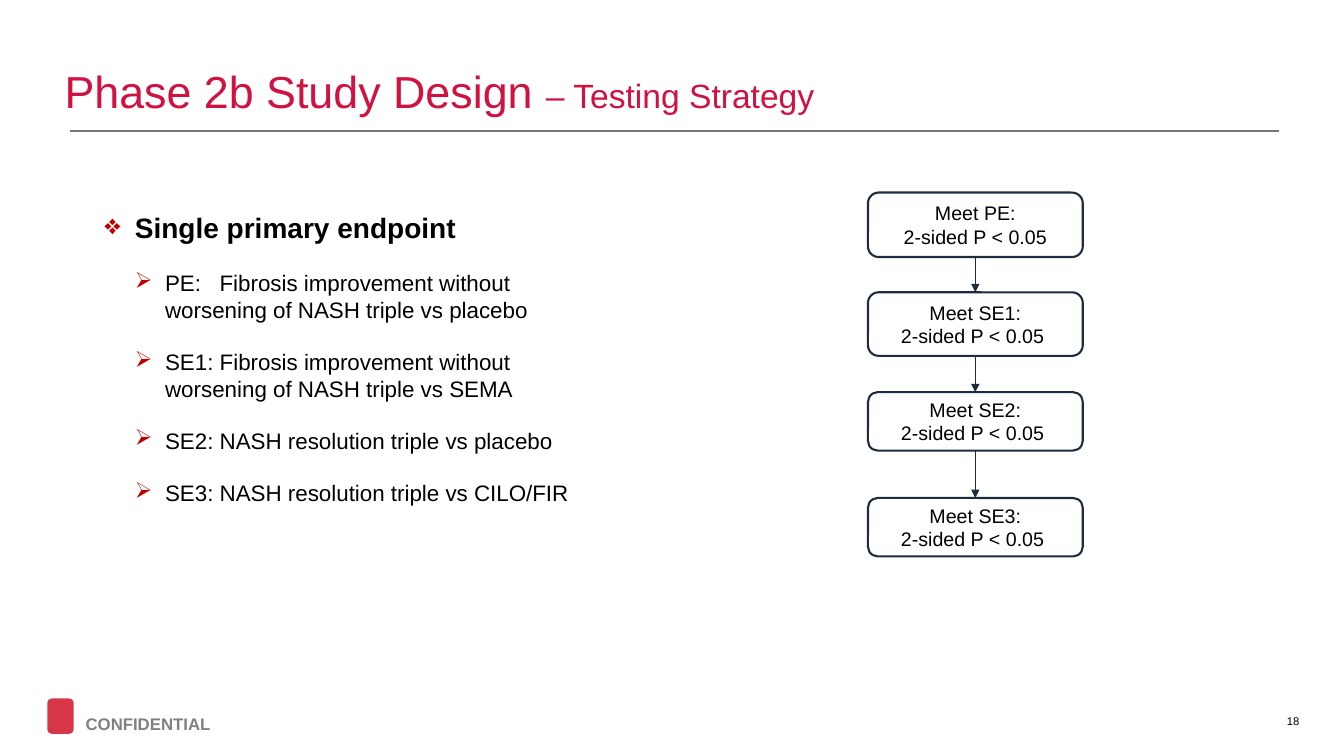
import pptx
import pptx.dml.color
import pptx.enum.shapes
import pptx.enum.text
import pptx.oxml
import pptx.oxml.ns
import pptx.util

RED, BULLET_RED, LOGO_RED = "D11241", "C00000", "D73648"
NAVY, BLACK, GRAY, RULE_GRAY = "1E2C40", "000000", "808080", "767676"
FONT = "Arial"

TITLE = [("Phase 2b Study Design ", 32), ("– Testing Strategy", 24)]
HEADING = "Single primary endpoint"
ENDPOINTS = [
    "PE:\tFibrosis improvement without worsening of NASH triple vs placebo",
    "SE1: Fibrosis improvement without worsening of NASH triple vs SEMA",
    "SE2: NASH resolution triple vs placebo",
    "SE3: NASH resolution triple vs CILO/FIR",
]
# Test text, top and height of each step
STEPS = [
    ("Meet PE:\n2-sided P < 0.05", 25.47, 8.53),
    ("Meet SE1:\n2-sided P < 0.05 ", 38.67, 8.4),
    ("Meet SE2:\n2-sided P < 0.05 ", 51.87, 7.73),
    ("Meet SE3:\n2-sided P < 0.05 ", 65.87, 7.73),
]

# Left, top, width and height as percentages of the slide's size
TITLE_AREA = (4.05, 4.8, 92.18, 11.47)
ENDPOINT_AREA = (7.05, 27.2, 39.3, 40.8)
LOGO_AREA = (3.53, 92.4, 1.95, 4.67)
CONFIDENTIAL_AREA = (5.63, 93.73, 12.23, 4)
NUMBER_AREA = (93.38, 92.67, 3.9, 5.33)
RULE_LEFT, RULE_RIGHT, RULE_TOP = 5.18, 95.18, 17.33
STEP_LEFT, STEP_WIDTH = 64.58, 15.98
INDENT, TAB_STOP = 0.3, 1.14  # inches

ALIGN = pptx.enum.text.PP_ALIGN
MIDDLE = pptx.enum.text.MSO_ANCHOR.MIDDLE
SHAPE = pptx.enum.shapes.MSO_SHAPE

deck = pptx.Presentation()
deck.slide_width = pptx.util.Inches(13.33)
deck.slide_height = pptx.util.Inches(7.5)
page = deck.slides.add_slide(deck.slide_layouts[5])


def across(share):
    return round(deck.slide_width * share / 100)


def down(share):
    return round(deck.slide_height * share / 100)


def place(area):
    left, top, width, height = area
    return across(left), down(top), across(width), down(height)


def color(value):
    return pptx.dml.color.RGBColor.from_string(value)


def style(font, size, value, bold=False):
    font.name, font.size, font.bold = FONT, pptx.util.Pt(size), bold
    font.color.rgb = color(value)


def add_text(area, text, size, value, bold=False, align=ALIGN.LEFT):
    box = page.shapes.add_textbox(*place(area))
    box.text_frame.word_wrap = True
    box.text_frame.text = text
    para = box.text_frame.paragraphs[0]
    para.alignment = align
    style(para.runs[0].font, size, value, bold)
    return box


def add_shape(kind, area):
    shape = page.shapes.add_shape(kind, *place(area))
    shape.shadow.inherit = False
    return shape


def add_line(start, end, value, width):
    line = page.shapes.add_connector(
        pptx.enum.shapes.MSO_CONNECTOR.STRAIGHT, *start, *end)
    line.line.color.rgb = color(value)
    line.line.width = pptx.util.Pt(width)
    add_xml(line._element.spPr, "a:effectLst")
    return line


def add_xml(parent, tag, **attributes):
    child = pptx.oxml.parse_xml(f"<{tag} {pptx.oxml.ns.nsdecls('a')}/>")
    for name, value in attributes.items():
        child.set(name, str(value))
    parent.append(child)
    return child


def add_bullet(para, symbol, level):
    para.level = level
    properties = para._p.get_or_add_pPr()
    step = pptx.util.Inches(INDENT)
    properties.set("marL", str(step * (level + 1)))
    properties.set("indent", str(-step))
    add_xml(add_xml(properties, "a:buClr"), "a:srgbClr", val=BULLET_RED)
    add_xml(properties, "a:buChar", char=symbol)
    if "\t" in para.text:
        add_xml(add_xml(properties, "a:tabLst"), "a:tab",
                pos=pptx.util.Inches(TAB_STOP), algn="l")


# Title and rule
title = page.shapes.title
title.left, title.top, title.width, title.height = place(TITLE_AREA)
frame = title.text_frame
frame.word_wrap = True
frame.auto_size = pptx.enum.text.MSO_AUTO_SIZE.NONE
frame.vertical_anchor = pptx.enum.text.MSO_ANCHOR.BOTTOM
para = frame.paragraphs[0]
para.alignment, para.line_spacing = ALIGN.LEFT, 0.9
for text, size in TITLE:
    span = para.add_run()
    span.text = text
    style(span.font, size, RED)
add_line((across(RULE_LEFT), down(RULE_TOP)),
         (across(RULE_RIGHT), down(RULE_TOP)), RULE_GRAY, 1)

# Endpoints
frame = add_text(ENDPOINT_AREA, HEADING, 20, BLACK, bold=True).text_frame
add_bullet(frame.paragraphs[0], "❖", 0)
for endpoint in ENDPOINTS:
    para = frame.add_paragraph()
    para.text = endpoint
    para.space_before = pptx.util.Pt(18)
    add_bullet(para, "➢", 1)
    for span in para.runs:
        style(span.font, 16, BLACK)

# Testing sequence
previous = None
for text, top, height in STEPS:
    step = add_shape(SHAPE.ROUNDED_RECTANGLE,
                     (STEP_LEFT, top, STEP_WIDTH, height))
    step.fill.background()
    step.line.color.rgb = color(NAVY)
    step.line.width = pptx.util.Pt(1.5)
    step.text_frame.text = text
    step.text_frame.vertical_anchor = MIDDLE
    for para in step.text_frame.paragraphs:
        para.alignment = ALIGN.CENTER
        style(para.runs[0].font, 14, BLACK)
    if previous is not None:
        arrow = add_line((0, 0), (0, 0), NAVY, 0.5)
        arrow.begin_connect(previous, 2)
        arrow.end_connect(step, 0)
        add_xml(arrow.line._get_or_add_ln(), "a:tailEnd", type="triangle")
    previous = step

# Footer
emblem = add_shape(SHAPE.ROUNDED_RECTANGLE, LOGO_AREA)
emblem.fill.solid()
emblem.fill.fore_color.rgb = color(LOGO_RED)
emblem.line.fill.background()
add_text(CONFIDENTIAL_AREA, "CONFIDENTIAL", 12, GRAY, bold=True)
number = add_text(NUMBER_AREA, "18", 8, BLACK, align=ALIGN.RIGHT)
number.text_frame.vertical_anchor = MIDDLE
number.text_frame.margin_left = pptx.util.Inches(0.08)
number.text_frame.margin_right = pptx.util.Inches(0.08)

deck.save("out.pptx")
